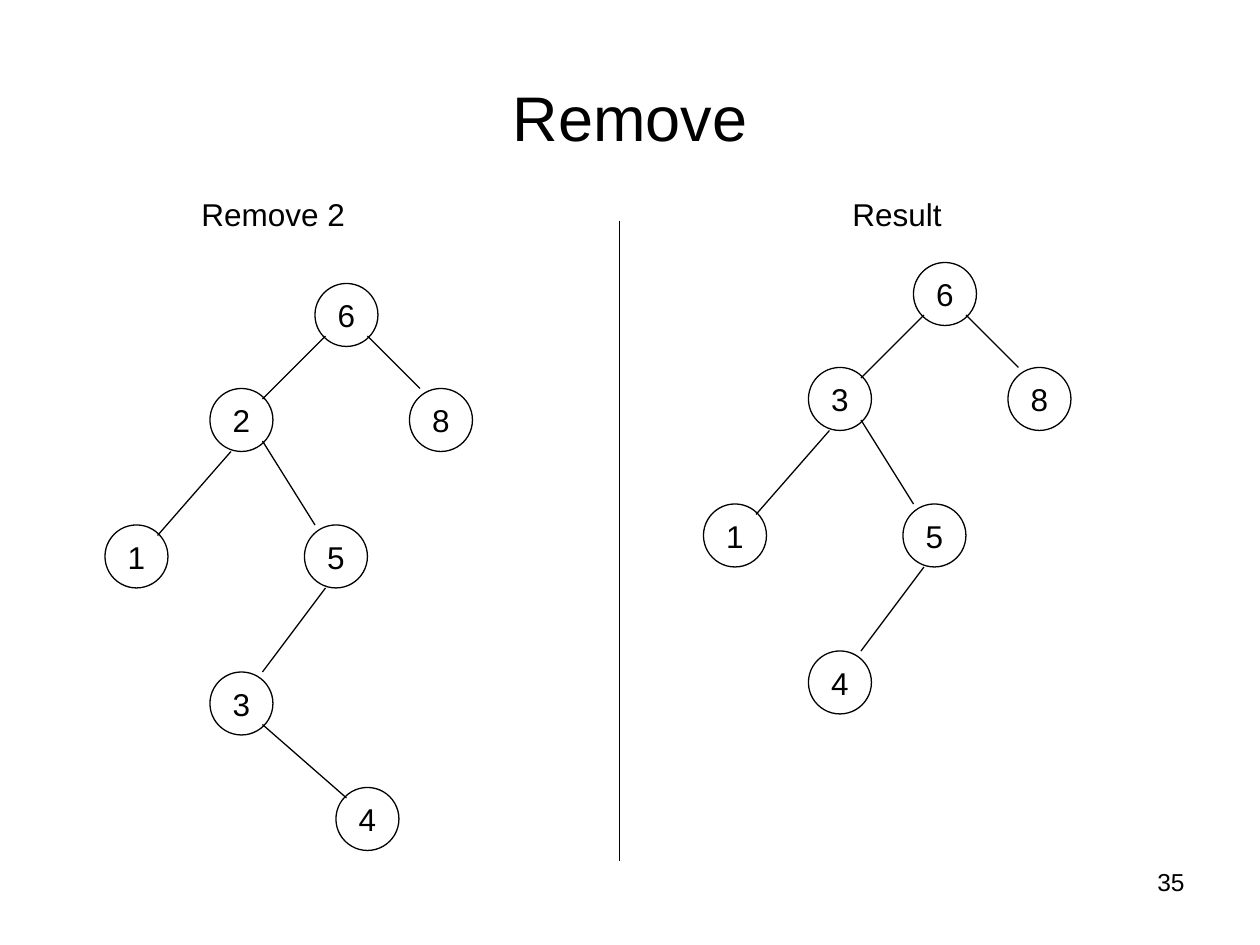
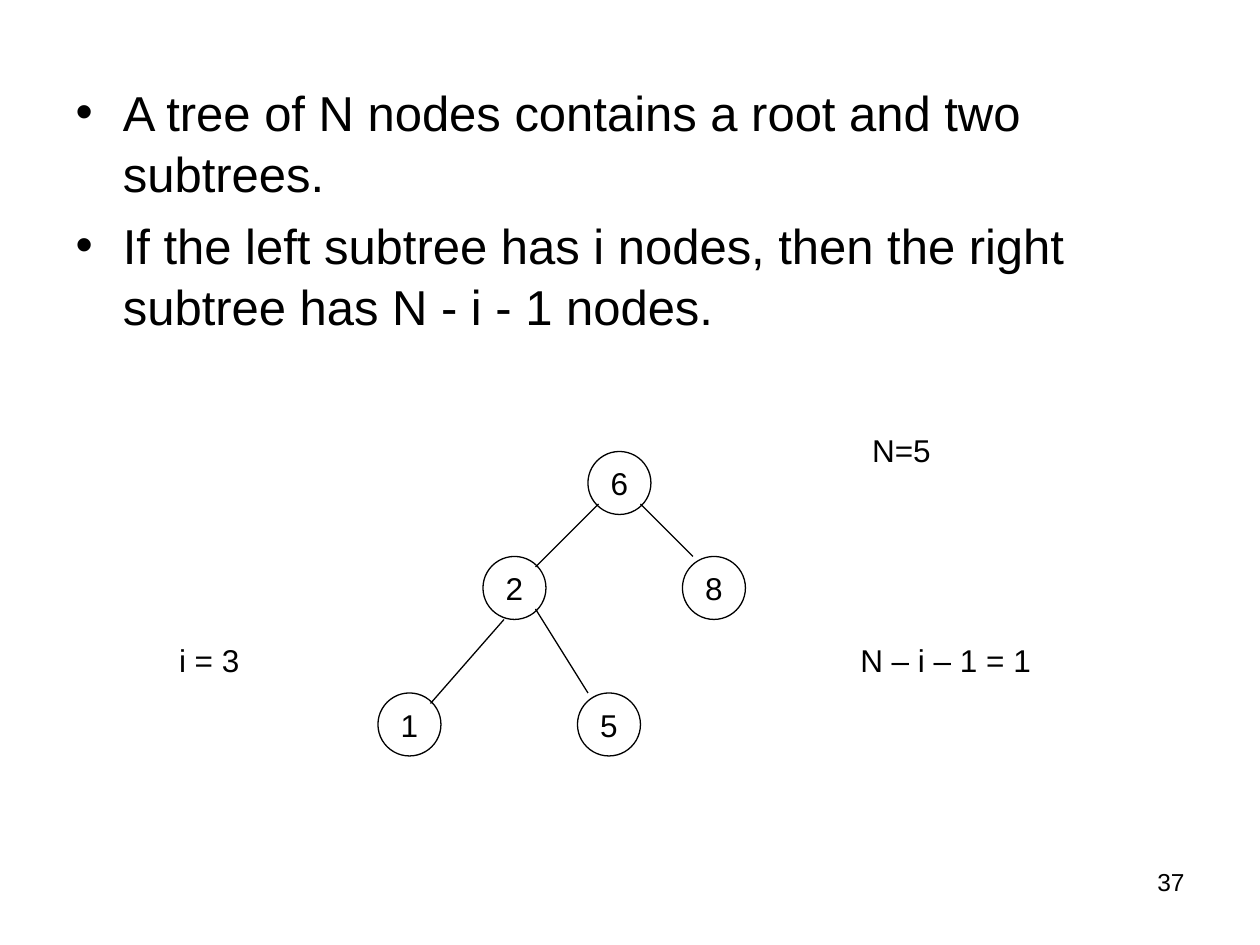
from lxml import etree
from pptx import Presentation
from pptx.dml.color import RGBColor
from pptx.enum.shapes import MSO_CONNECTOR, MSO_SHAPE
from pptx.enum.text import MSO_ANCHOR, MSO_AUTO_SIZE, PP_ALIGN
from pptx.oxml.ns import qn
from pptx.util import Emu, Pt

# Shared style: 96 px to the inch
PX = 9525
WHITE = RGBColor(255, 255, 255)
BLACK = RGBColor(0, 0, 0)
FONT = "Arial"
LINE_WIDTH = 0.75
NODE = 48
LEFT, CENTER, RIGHT = PP_ALIGN.LEFT, PP_ALIGN.CENTER, PP_ALIGN.RIGHT
TOP, MIDDLE = MSO_ANCHOR.TOP, MSO_ANCHOR.MIDDLE
NO_FIT, GROW = MSO_AUTO_SIZE.NONE, MSO_AUTO_SIZE.SHAPE_TO_FIT_TEXT
STRAIGHT, OVAL = MSO_CONNECTOR.STRAIGHT, MSO_SHAPE.OVAL
TITLE_AND_BODY, TITLE_ONLY = 1, 5

# Tree places, relative to the root: node, then the ends of the edge above it
SLOTS = {
    "root": ((0, 0), None),
    "left": ((-80, 80), ((8, 40), (-40, 88))),
    "right": ((72, 80), ((40, 40), (80, 80))),
    "left-left": ((-160, 184), ((-64, 128), (-120, 192))),
    "left-right": ((-8, 184), ((-40, 120), (0, 184))),
    "inner": ((-80, 296), ((8, 232), (-40, 296))),
    "inner-right": ((16, 384), ((-40, 336), (24, 392))),
}


def px(*lengths):
    return [Emu(n * PX) for n in lengths]


class Deck:
    def __init__(self):
        self.prs = Presentation()
        self.prs.slide_width, self.prs.slide_height = px(960, 720)
        self.s = None

    def slide(self, layout, number):
        self.s = self.prs.slides.add_slide(self.prs.slide_layouts[layout])
        fill = self.s.background.fill
        fill.solid()
        fill.fore_color.rgb = WHITE
        self.label(number, 688, 656, 224, 50, 14, RIGHT, wrap=True)

    def place(self, sp, x, y, w, h):
        sp.left, sp.top, sp.width, sp.height = px(x, y, w, h)

    def run(self, p, text, size, align):
        p.alignment = align
        r = p.add_run()
        r.text = text
        r.font.name, r.font.size = FONT, Pt(size)
        r.font.color.rgb = BLACK

    def title(self, text):
        sp = self.s.shapes.title
        self.place(sp, 48, 29, 864, 120)
        tf = sp.text_frame
        tf.auto_size, tf.vertical_anchor = NO_FIT, MIDDLE
        self.run(tf.paragraphs[0], text, 36, CENTER)

    def bullets(self, items, x, y, w, h):
        title = self.s.shapes.title.element
        title.getparent().remove(title)
        sp = self.s.placeholders[1]
        self.place(sp, x, y, w, h)
        tf = sp.text_frame
        tf.auto_size, tf.vertical_anchor = NO_FIT, TOP
        for i, text in enumerate(items):
            p = tf.add_paragraph() if i else tf.paragraphs[0]
            pPr = p._p.get_or_add_pPr()
            pPr.set("marL", str(36 * PX))
            pPr.set("indent", str(-36 * PX))
            etree.SubElement(pPr, qn("a:buChar")).set("char", "•")
            p.space_before = Pt(6 if i else 0)
            p.line_spacing = 1.04
            self.run(p, text, 28, LEFT)

    def label(self, text, x, y, w, h=38, size=18, align=LEFT, wrap=False):
        tf = self.s.shapes.add_textbox(*px(x, y, w, h)).text_frame
        tf.word_wrap = wrap
        tf.auto_size = NO_FIT if wrap else GROW
        self.run(tf.paragraphs[0], text, size, align)

    def line(self, x1, y1, x2, y2):
        c = self.s.shapes.add_connector(STRAIGHT, *px(x1, y1, x2, y2))
        c.line.color.rgb = BLACK
        c.line.width = Pt(LINE_WIDTH)
        etree.SubElement(c._element.spPr, qn("a:effectLst"))

    def node(self, text, x, y):
        sp = self.s.shapes.add_shape(OVAL, *px(x, y, NODE, NODE))
        sp.shadow.inherit = False
        sp.fill.background()
        sp.line.color.rgb = BLACK
        sp.line.width = Pt(LINE_WIDTH)
        tf = sp.text_frame
        tf.word_wrap, tf.vertical_anchor = False, MIDDLE
        self.run(tf.paragraphs[0], text, 18, CENTER)

    def tree(self, x, y, keys):
        """Draw keys in the order of SLOTS, with the root at x, y."""
        for key, (at, edge) in zip(keys, SLOTS.values()):
            self.node(key, x + at[0], y + at[1])
            if edge:
                (x1, y1), (x2, y2) = edge
                self.line(x + x1, y + y1, x + x2, y + y2)


def main():
    deck = Deck()

    # Removing a node: before and after
    deck.slide(TITLE_ONLY, "35")
    deck.title("Remove")
    deck.tree(240, 216, "6281534")
    deck.line(472, 168, 472, 656)
    deck.tree(696, 200, "638154")
    deck.label("Remove 2", 144, 144, 130)
    deck.label("Result", 640, 144, 88)

    # Subtree sizes
    deck.slide(TITLE_AND_BODY, "37")
    deck.bullets([
        "A tree of N nodes contains a root and two subtrees.",
        "If the left subtree has i nodes, then the right subtree has N - i - 1 nodes.",
    ], 48, 56, 864, 256)
    deck.tree(448, 344, "62815")
    deck.label("N=5", 655, 324, 64)
    deck.label("i = 3", 127, 484, 65)
    deck.label("N – i – 1 = 1", 646, 484, 150)

    deck.prs.save("out.pptx")


if __name__ == "__main__":
    main()
